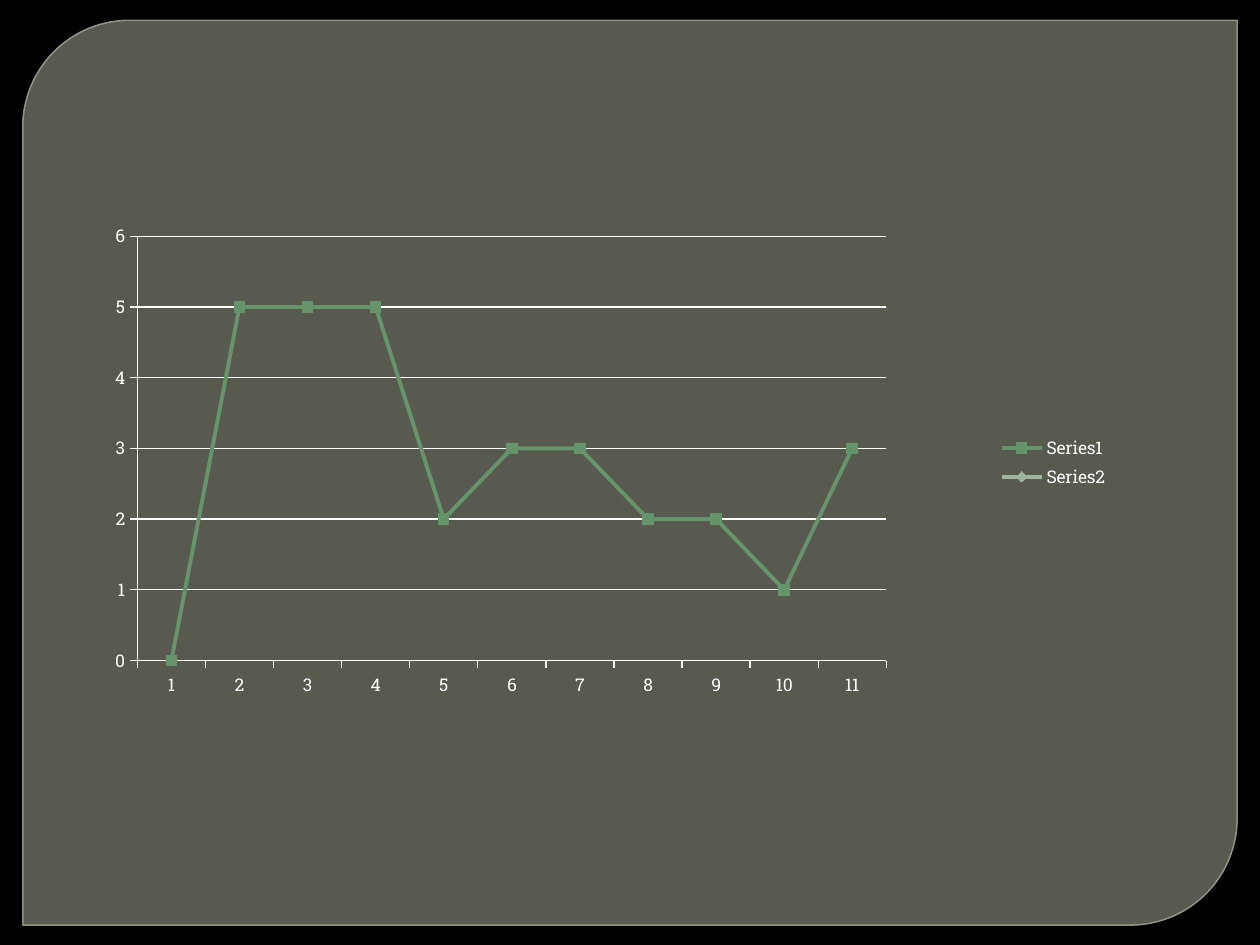
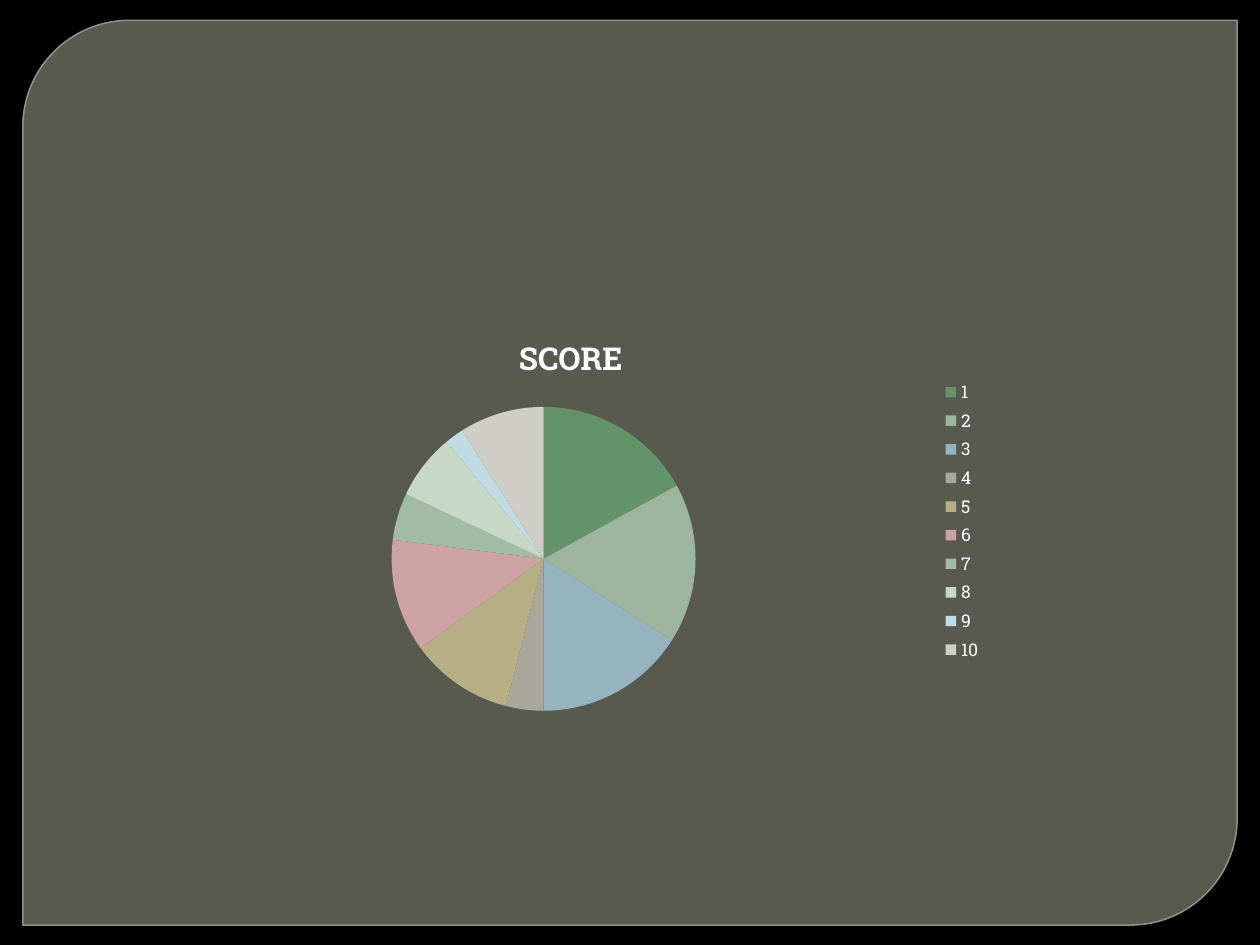
"""Build two dark slides: a line chart and a pie chart of scores."""
from lxml import etree
from pptx import Presentation, util as u
from pptx.chart import data
from pptx.dml import color
from pptx.enum import chart as ch, shapes
from pptx.oxml import ns

FACE = "Roboto Slab"
HUES = {"back": "000000", "panel": "888B7B", "edge": "9DA090", "text": "FFFFFF",
        "line": "66946A", "pale": "9DB59D"}
SLICES = ["649269", "9DB59D", "95B4BF", "A9A799", "B6AE84",
          "CDA2A3", "A2BBA4", "C6D9C7", "C1DAE3", "CFCEC6"]
STEPS = [0, 5, 5, 5, 2, 3, 3, 2, 2, 1, 3]
SCORES = [17, 17, 16, 4, 11, 12, 5, 7, 2, 9]
PLOT = {"x": 0.057, "y": 0.075, "w": 0.718, "h": 0.798}
rgb = color.RGBColor.from_string


def write(frame, text, size=18, bold=True, hue="text"):
    run = frame.paragraphs[0].add_run()
    run.text = text
    font = run.font
    font.name, font.size, font.bold = FACE, u.Pt(size), bold
    font.color.rgb = rgb(HUES[hue])


def plot(slide, kind, box, rows):
    feed = data.CategoryChartData()
    count = len(next(iter(rows.values())))
    feed.categories = [str(n + 1) for n in range(count)]
    for name, vals in rows.items():
        feed.add_series(name, vals)
    chart = slide.shapes.add_chart(kind, *map(u.Cm, box), feed).chart
    chart.font.name, chart.font.size = FACE, u.Pt(10)
    chart.font.color.rgb = rgb(HUES["text"])
    chart.has_title = False
    chart.has_legend = True
    chart.legend.position = ch.XL_LEGEND_POSITION.RIGHT
    chart.legend.include_in_layout = False
    return chart


prs = Presentation()
prs.slide_width, prs.slide_height = u.Cm(25.4), u.Cm(19.05)
pages = [prs.slides.add_slide(prs.slide_layouts[6]) for _ in range(2)]
for page in pages:
    page.background.fill.solid()
    page.background.fill.fore_color.rgb = rgb(HUES["back"])
    panel = page.shapes.add_shape(shapes.MSO_SHAPE.ROUND_2_DIAG_RECTANGLE,
                                  u.Cm(0.46), u.Cm(0.41), u.Cm(24.48), u.Cm(18.24))
    panel.adjustments[0], panel.adjustments[1] = 0.118, 0
    panel.shadow.inherit = False
    panel.fill.solid()
    panel.fill.fore_color.rgb = rgb(HUES["panel"])
    panel.line.color.rgb = rgb(HUES["edge"])
    panel.line.width = u.Pt(0.87)
    tints = panel.element.iter(ns.qn("a:srgbClr"))
    for tint, share in zip(tints, (65, 88)):
        etree.SubElement(tint, ns.qn("a:alpha")).set("val", str(share * 1000))

trend = plot(pages[0], ch.XL_CHART_TYPE.LINE_MARKERS, (1.57, 3.96, 21.03, 10.72),
             {"Series1": STEPS, "Series2": [None] * len(STEPS)})
marks = [ch.XL_MARKER_STYLE.SQUARE, ch.XL_MARKER_STYLE.DIAMOND]
for row, hue, mark in zip(trend.plots[0].series, ("line", "pale"), marks):
    row.smooth = False
    row.format.line.width = u.Pt(2.25)
    row.format.line.color.rgb = rgb(HUES[hue])
    row.marker.style, row.marker.size = mark, 6
    row.marker.format.fill.solid()
    row.marker.format.fill.fore_color.rgb = rgb(HUES[hue])
    row.marker.format.line.color.rgb = rgb(HUES[hue])

scale = trend.value_axis
scale.minimum_scale, scale.maximum_scale, scale.major_unit = 0, 6, 1
scale.has_major_gridlines = True
for axis in (trend.category_axis, scale):
    axis.major_tick_mark = ch.XL_TICK_MARK.OUTSIDE
for part in (trend.category_axis, scale, scale.major_gridlines):
    part.format.line.color.rgb = rgb(HUES["text"])
    part.format.line.width = u.Pt(0.75)

area = trend.element.find(".//" + ns.qn("c:plotArea"))
for old in area.findall(ns.qn("c:layout")):
    area.remove(old)
layout = etree.Element(ns.qn("c:layout"))
area.insert(0, layout)
manual = etree.SubElement(layout, ns.qn("c:manualLayout"))
rules = {"layoutTarget": "inner", "xMode": "edge", "yMode": "edge", **PLOT}
for tag, val in rules.items():
    etree.SubElement(manual, ns.qn("c:" + tag)).set("val", str(val))

pie = plot(pages[1], ch.XL_CHART_TYPE.PIE, (2.97, 6.32, 17.07, 8.36), {"SCORE": SCORES})
write(pie.chart_title.text_frame, "SCORE")
pie.chart_title.include_in_layout = False
pie.plots[0].vary_by_categories = True
for n, hue in enumerate(SLICES):
    fill = pie.plots[0].series[0].points[n].format.fill
    fill.solid()
    fill.fore_color.rgb = rgb(hue)

prs.save("out.pptx")
